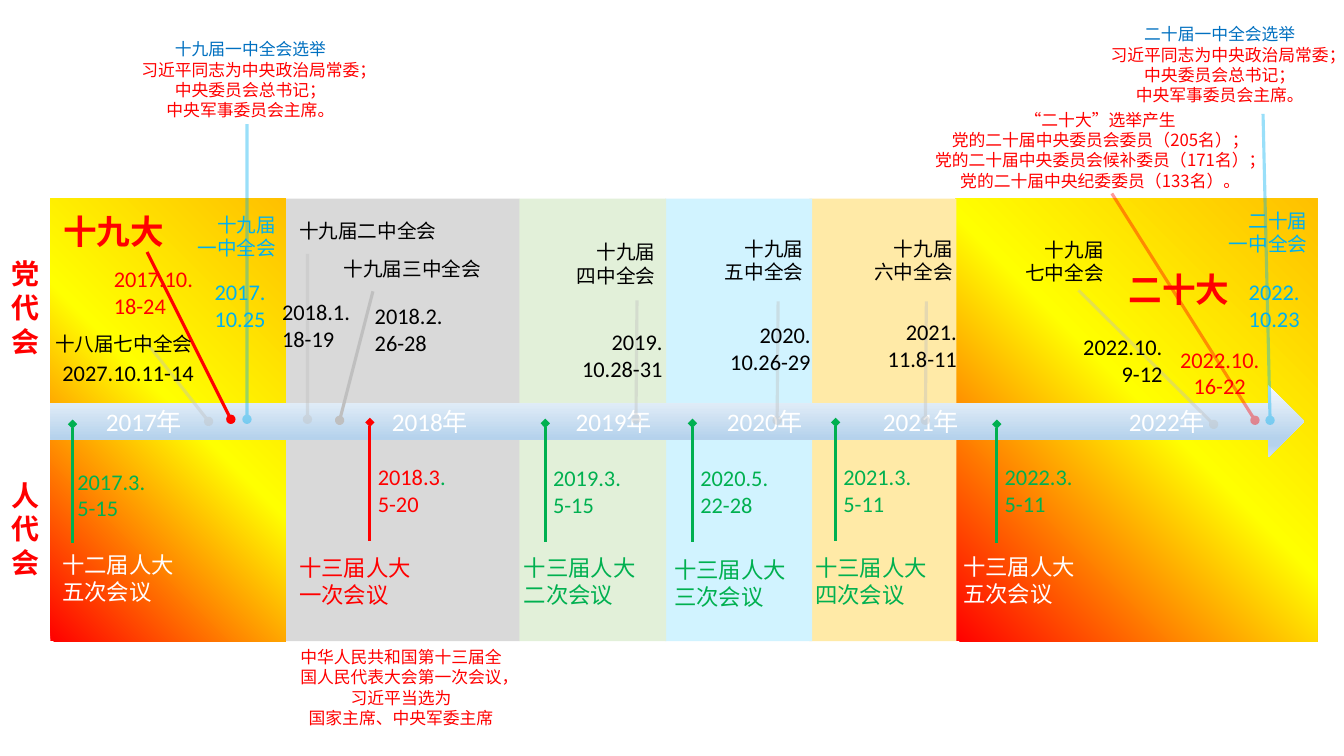
from dataclasses import dataclass
from lxml.etree import SubElement
from pptx import Presentation
from pptx.dml.color import RGBColor as RGB
from pptx.enum.shapes import MSO_CONNECTOR as CONN, MSO_SHAPE as SHAPE
from pptx.enum.text import MSO_ANCHOR as ANCHOR, MSO_AUTO_SIZE as FIT, PP_ALIGN as ALIGN
from pptx.oxml.ns import qn
from pptx.util import Pt


@dataclass(frozen=True)
class Theme:
    latin: str = "Calibri"
    cjk: str = "Noto Sans CJK SC"
    red: str = "FF0000"
    green: str = "00B050"
    sky: str = "00B0F0"
    blue: str = "0070C0"
    black: str = "000000"
    white: str = "FFFFFF"
    pin: str = "BFBFBF"
    grey: str = "D9D9D9"
    mint: str = "E2F0D9"
    ice: str = "D1F3FF"
    sand: str = "FFEAA7"
    glow: tuple = ((0, "FFC000"), (47, "FFFF00"), (100, "FF0000"))
    steel: tuple = ((0, "F7FAFD"), (74, "B5D2EC"), (83, "B5D2EC"), (100, "CEE1F2"))
    year: int = 18
    headline: int = 24
    side: int = 20
    date: int = 16
    plenum: int = 14
    note: int = 12
    line: float = 2.25


T = Theme()
L, C, R = ALIGN.LEFT, ALIGN.CENTER, ALIGN.RIGHT
PANEL_TOP, PANEL_H = 142, 316
ARROW_X, ARROW_W = 36, 895.7
INSET = 7.2

# x, width, fill; the later panels overlap the earlier ones
PANELS = [
    (682.6, 258.5, T.glow), (578.2, 105, T.sand), (475.2, 105, T.ice),
    (370.8, 105, T.mint), (203, 168, T.grey), (36, 168, T.glow),
]
# year, left edge of its label
YEARS = [("2017年", 75.7), ("2018年", 280), ("2019年", 411.4),
         ("2020年", 519.3), ("2021年", 630.7), ("2022年", 806.4)]
# dot x, y; far end x, y; colour; opacity in percent
PINS = [
    (164.9, 299.5, 105.1, 180, T.red, 100), (176.4, 299.5, 176.4, 88.6, T.sky, 40),
    (219.6, 299.5, 219.6, 181.4, T.pin, 40), (242.6, 300.2, 266.4, 208.1, T.pin, 100),
    (454.3, 299.5, 455, 214.6, T.pin, 40), (896.4, 300.2, 794.2, 138.2, T.red, 40),
    (907.2, 300.2, 902.2, 81.4, T.sky, 40), (555.1, 300.2, 555.8, 215.3, T.pin, 40),
    (661, 300.2, 661.7, 215.3, T.pin, 40), (866.9, 303.1, 770.4, 207.4, T.pin, 40),
    (149, 301, 101.5, 240.5, T.pin, 40),
]
# x, y, width, alignment, colour, lines
PLENUMS = [
    (113, 148.3, 91.4, R, T.sky, ["十九届", "一中全会"]),
    (186.5, 152.6, 152.6, C, T.black, ["十九届二中全会"]),
    (223.2, 180, 142.6, C, T.black, ["十九届三中全会"]),
    (387.4, 167.8, 87.8, R, T.black, ["十九届", "四中全会"]),
    (489.6, 165.6, 91.4, R, T.black, ["十九届", "五中全会"]),
    (593.3, 165.6, 94.3, R, T.black, ["十九届", "六中全会"]),
    (704.2, 166.3, 91.4, R, T.black, ["十九届", "七中全会"]),
    (849.6, 145.4, 91.4, R, T.sky, ["二十届", "一中全会"]),
    (25.2, 233.3, 119.5, R, T.black, ["十八届七中全会"]),
]
DATES = [
    (74.2, 185.8, 74.9, L, T.red, ["2017.10.", "18-24"]),
    (146.2, 195.1, 65.5, L, T.sky, ["2017.", "10.25"]),
    (194.4, 209.5, 85, L, T.black, ["2018.1.", "18-19"]),
    (260.6, 212.4, 75.6, L, T.black, ["2018.2.", "26-28"]),
    (395.3, 231.1, 85, R, T.black, ["2019.", "10.28-31"]),
    (500.4, 226.1, 85.7, R, T.black, ["2020.", "10.26-29"]),
    (619.2, 223.9, 71.3, R, T.black, ["2021.", "11.8-11"]),
    (758.9, 234.7, 78.5, R, T.black, ["2022.10.", "9-12"]),
    (828.7, 243.4, 85, C, T.red, ["2022.10.", "16-22"]),
    (884.9, 195.1, 67, L, T.sky, ["2022.", "10.23"]),
    (35.3, 252.7, 110.2, R, T.black, ["2027.10.11-14"]),
]
# pin x, y; date x, y; name x, y; pin and date colour; name colour; dates; name
SESSIONS = [
    (51.8, 303, 48.2, 330.5, 37.4, 390.2, T.green, T.white,
     ["2017.3.", "5-15"], ["十二届人大", "五次会议"]),
    (264.2, 301.7, 262.8, 327.6, 206.6, 392.4, T.red, T.red,
     [[("2018.3", T.red), (".", T.green)], "5-20"], ["十三届人大", "一次会议"]),
    (389.5, 302.4, 388, 328.3, 367.2, 392.4, T.green, T.green,
     ["2019.3.", "5-15"], ["十三届人大", "二次会议"]),
    (494.6, 302.4, 493.2, 328.3, 474.5, 393.8, T.green, T.green,
     ["2020.5.", "22-28"], ["十三届人大", "三次会议"]),
    (596.9, 301.7, 595.4, 327.6, 575.3, 392.4, T.green, T.green,
     ["2021.3.", "5-11"], ["十三届人大", "四次会议"]),
    (712, 303, 710.6, 327.6, 681, 391.7, T.green, T.white,
     ["2022.3.", "5-11"], ["十三届人大", "五次会议"]),
]
# x, y, width, colour of the first line, lines; each fills four rows
NOTES = [
    (203, 458.6, 167, T.red, ["中华人民共和国第十三届全国人民代表大会第一次会议，",
                              "习近平当选为", "国家主席、中央军委主席"]),
    (636.5, 74.9, 298.8, T.red, ["“二十大”选举产生", "党的二十届中央委员会委员（205名）；",
                                 "党的二十届中央委员会候补委员（171名）；",
                                 "党的二十届中央纪委委员（133名）。"]),
    (782, 13.7, 178.6, T.blue, ["二十届一中全会选举", "习近平同志为中央政治局常委；",
                                "中央委员会总书记；", "中央军事委员会主席。"]),
    (90.7, 24.5, 176.4, T.blue, ["十九届一中全会选举",
                                 "习近平同志为中央政治局常委；中央委员会总书记；",
                                 "中央军事委员会主席。"]),
]


def set_gradient(s, stops, angle=None):
    """Linear at the given angle, or circular from the top right corner."""
    s.fill.gradient()
    grad = s._element.spPr.find(qn("a:gradFill"))
    for child in list(grad):
        grad.remove(child)
    gs_list = SubElement(grad, qn("a:gsLst"))
    for pos, colour in stops:
        gs = SubElement(gs_list, qn("a:gs"), pos=str(pos * 1000))
        SubElement(gs, qn("a:srgbClr"), val=colour)
    if angle is None:
        circle = SubElement(grad, qn("a:path"), {"path": "circle"})
        SubElement(circle, qn("a:fillToRect"), l="100000", b="100000")
    else:
        SubElement(grad, qn("a:lin"), ang=str(angle * 60000), scaled="0")


def add_block(sl, kind, x, y, w, h, fill, angle=None):
    s = sl.shapes.add_shape(kind, Pt(x), Pt(y), Pt(w), Pt(h))
    s.shadow.inherit = False
    s.line.fill.background()
    if isinstance(fill, tuple):
        set_gradient(s, fill, angle)
    else:
        s.fill.solid()
        s.fill.fore_color.rgb = RGB.from_string(fill)
    return s


def set_font(font, size, colour, name=T.latin, bold=False):
    font.size, font.name, font.bold = Pt(size), name, bold
    font.color.rgb = RGB.from_string(colour)


def add_label(sl, x, y, w, align, colour, lines, size, rows=None, rest=None, **style):
    """Lines after the first take the colour rest, when it is given."""
    h = (rows or len(lines)) * size * 1.2 + INSET
    tf = sl.shapes.add_textbox(Pt(x), Pt(y), Pt(w), Pt(h)).text_frame
    tf.word_wrap, tf.auto_size = True, FIT.SHAPE_TO_FIT_TEXT
    for i, line in enumerate(lines):
        p = tf.add_paragraph() if i else tf.paragraphs[0]
        p.alignment = align
        set_font(p.font, size, rest if i and rest else colour, **style)
        if isinstance(line, str):
            p.add_run().text = line
            continue
        for text, run_colour in line:
            r = p.add_run()
            r.text = text
            r.font.color.rgb = RGB.from_string(run_colour)


def add_pin(sl, x1, y1, x2, y2, colour, opacity, head):
    c = sl.shapes.add_connector(CONN.STRAIGHT, Pt(x1), Pt(y1), Pt(x2), Pt(y2))
    c.line.width = Pt(T.line)
    c.line.color.rgb = RGB.from_string(colour)
    ln = c.line._get_or_add_ln()
    if opacity < 100:
        SubElement(ln.find(".//" + qn("a:srgbClr")), qn("a:alpha"), val=str(opacity * 1000))
    SubElement(ln, qn("a:headEnd"), type=head)
    SubElement(c._element.spPr, qn("a:effectLst"))


def add_year_arrow(sl):
    s = add_block(sl, SHAPE.RIGHT_ARROW, ARROW_X, 275, ARROW_W, 51.8, T.steel, 90)
    tf = s.text_frame
    tf.vertical_anchor = ANCHOR.MIDDLE
    p = tf.paragraphs[0]
    p.alignment = L
    p.add_run().text = "".join("\t" + year for year, _ in YEARS)
    tabs = SubElement(p._p.get_or_add_pPr(), qn("a:tabLst"))
    for _, x in YEARS:
        SubElement(tabs, qn("a:tab"), pos=str(Pt(x - ARROW_X - INSET)), algn="l")
    set_font(p.font, T.year, T.white)


def main():
    prs = Presentation()
    prs.slide_width, prs.slide_height = Pt(960), Pt(540)
    sl = prs.slides.add_slide(prs.slide_layouts[6])

    # Year panels and time arrow
    for x, w, fill in PANELS:
        add_block(sl, SHAPE.RECTANGLE, x, PANEL_TOP, w, PANEL_H, fill)
    add_year_arrow(sl)

    # Party congresses and plenums above the arrow
    for pin in PINS:
        add_pin(sl, *pin, "oval")
    for x, y, w, text in [(38.2, 146.9, 99.4, "十九大"), (799.2, 188.6, 92.9, "二十大")]:
        add_label(sl, x, y, w, L, T.red, [text], T.headline, bold=True)
    for plenum in PLENUMS:
        add_label(sl, *plenum, T.plenum)
    for date in DATES:
        add_label(sl, *date, T.date)

    # People's congress sessions below the arrow
    for x, y, date_x, date_y, name_x, name_y, colour, name_colour, dates, name in SESSIONS:
        add_pin(sl, x, y, x, y + 85, colour, 100, "diamond")
        add_label(sl, date_x, date_y, 80, L, colour, dates, T.date)
        add_label(sl, name_x, name_y, 113.8, L, name_colour, name, T.date)

    # Election notes and row names
    for x, y, w, colour, lines in NOTES:
        add_label(sl, x, y, w, C, colour, lines, T.note, rows=4, rest=T.red, name=T.cjk)
    for y, text in [(180, "党代会"), (338, "人代会")]:
        add_label(sl, 1.4, y, 36, L, T.red, [text], T.side, rows=3, bold=True)

    prs.save("out.pptx")


if __name__ == "__main__":
    main()
